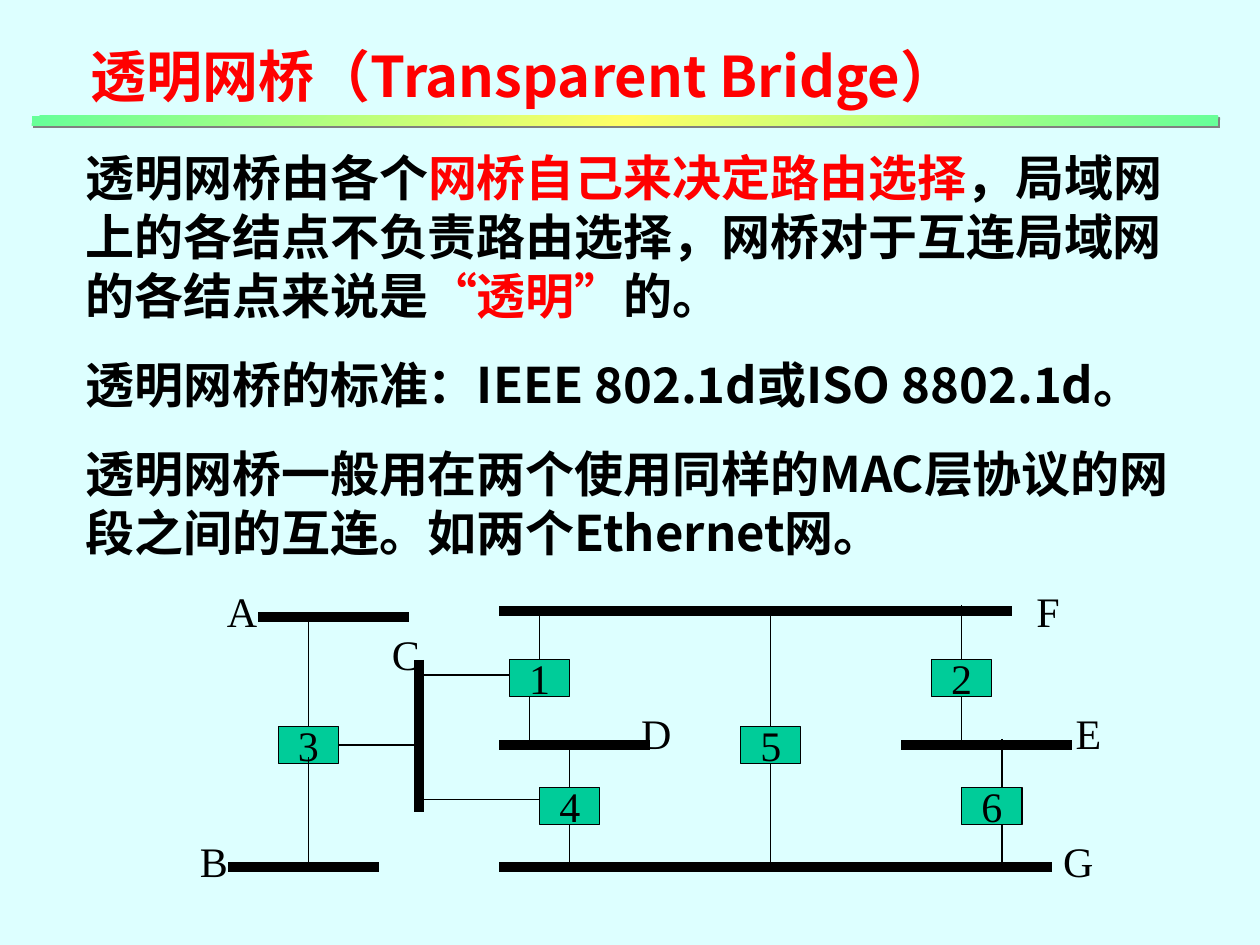
from copy import deepcopy
from dataclasses import dataclass

from lxml.etree import SubElement
from pptx import Presentation
from pptx.dml.color import RGBColor
from pptx.enum.lang import MSO_LANGUAGE_ID
from pptx.enum.shapes import MSO_CONNECTOR, MSO_SHAPE
from pptx.enum.text import MSO_ANCHOR, MSO_AUTO_SIZE, PP_ALIGN
from pptx.oxml.ns import qn
from pptx.util import Inches, Pt


@dataclass(frozen=True)
class Theme:
    background: RGBColor = RGBColor(0xDD, 0xFF, 0xFF)
    ink: RGBColor = RGBColor(0, 0, 0)
    accent: RGBColor = RGBColor(0xFF, 0, 0)
    bridge: RGBColor = RGBColor(0, 0xCC, 0x99)
    rule_edge: RGBColor = RGBColor(0x66, 0xFF, 0x99)
    rule_middle: RGBColor = RGBColor(0xFF, 0xFF, 0x66)
    rule_shadow: str = "808080"
    sans: str = "Noto Sans CJK SC"
    serif: str = "Times New Roman"
    title_size: float = 32
    body_size: float = 28
    label_size: float = 24
    body_gap: float = 17.5
    segment_width: float = 6
    wire_width: float = 0.75


THEME = Theme()
WIDTH, HEIGHT = 10, 7.5

# Body paragraphs as (text, style) runs
BODY = [
    [("透明网桥由各个", "plain"), ("网桥自己来决定路由选择", "accent"),
     ("，局域网上的各结点不负责路由选择，网桥对于互连局域网的各结点来说是", "plain"),
     ("“", "quote"), ("透明", "accent"), ("”", "quote"), ("的。", "plain")],
    [("透明网桥的标准：IEEE 802.1d或ISO 8802.1d。", "plain")],
    [("透明网桥一般用在两个使用同样的MAC层协议的网段之间的互连。如两个Ethernet网。", "plain")],
]

# Network diagram in grid units (column, row)
COLUMNS, ROWS = 84, 42
BRIDGE_COLUMNS, BRIDGE_ROWS = 6, 6
BRIDGES = {"1": (28, 8), "2": (70, 8), "3": (5, 19),
           "4": (31, 29), "5": (51, 19), "6": (73, 29)}
SEGMENTS = [(3, 1, 18, 1), (0, 42, 15, 42), (19, 8, 19, 33), (27, 22, 42, 22),
            (67, 22, 84, 22), (27, 0, 78, 0), (27, 42, 82, 42)]
WIRES = [(8, 1, 8, 19), (8, 24, 8, 42), (11, 22, 19, 22),
         (31, 0, 31, 8), (30, 14, 30, 22), (34, 22, 34, 29), (34, 35, 34, 42),
         (54, 0, 54, 19), (54, 25, 54, 42), (73, 14, 73, 22), (73, -1, 73, 8),
         (77, 21, 77, 29), (77, 35, 77, 42), (19, 31, 31, 31), (19, 10.5, 28, 10.5)]
LABELS = {"A": (1.4, 0), "B": (-1.4, 41), "C": (17.7, 7), "D": (42.6, 20),
          "E": (85.6, 20), "F": (81.6, 0), "G": (84.6, 41)}


def set_font(font, size, color, latin, east_asian, bold):
    font.size, font.bold, font.name = Pt(size), bold, latin
    font.color.rgb = color
    font.language_id = MSO_LANGUAGE_ID.SIMPLIFIED_CHINESE
    properties = font._element
    SubElement(properties, qn("a:ea")).set("typeface", east_asian)


def add_text_box(slide, box, wrap):
    shape = slide.shapes.add_textbox(*(Inches(value) for value in box))
    shape.text_frame.word_wrap = wrap
    shape.text_frame.auto_size = MSO_AUTO_SIZE.NONE
    return shape.text_frame


def add_title(slide, box):
    paragraph = add_text_box(slide, box, False).paragraphs[0]
    run = paragraph.add_run()
    run.text = "透明网桥（Transparent Bridge）"
    set_font(run.font, THEME.title_size, THEME.accent, THEME.sans, THEME.sans, True)


def add_rule(slide, box):
    shape = slide.shapes.add_shape(MSO_SHAPE.RECTANGLE, *(Inches(value) for value in box))
    shape.line.fill.background()
    shape.fill.gradient()
    shape.fill.gradient_angle = 315
    # Third gradient stop in the middle
    stops = shape._element.spPr.find(".//" + qn("a:gsLst"))
    stops.insert(1, deepcopy(stops[0]))
    colors = (THEME.rule_edge, THEME.rule_middle, THEME.rule_edge)
    for stop, position, color in zip(shape.fill.gradient_stops, (0, 0.5, 1), colors):
        stop.position = position
        stop.color.rgb = color
    # Hard offset shadow
    shape.shadow.inherit = False
    effects = shape._element.spPr.find(qn("a:effectLst"))
    shadow = SubElement(effects, qn("a:outerShdw"), blurRad="0",
                        dist=str(Pt(1.4)), dir="2700000", algn="ctr", rotWithShape="0")
    SubElement(shadow, qn("a:srgbClr"), val=THEME.rule_shadow)


def add_body(slide, box):
    styles = {"plain": (THEME.ink, THEME.sans), "accent": (THEME.accent, THEME.sans),
              "quote": (THEME.accent, THEME.serif)}
    frame = add_text_box(slide, box, True)
    for index, runs in enumerate(BODY):
        paragraph = frame.add_paragraph() if index else frame.paragraphs[0]
        if index:
            paragraph.space_before = Pt(THEME.body_gap)
        for text, style in runs:
            color, latin = styles[style]
            run = paragraph.add_run()
            run.text = text
            set_font(run.font, THEME.body_size, color, latin, THEME.sans, True)


def write_label(frame, text):
    frame.word_wrap = False
    frame.vertical_anchor = MSO_ANCHOR.MIDDLE
    paragraph = frame.paragraphs[0]
    paragraph.alignment = PP_ALIGN.CENTER
    run = paragraph.add_run()
    run.text = text
    set_font(run.font, THEME.label_size, THEME.ink, THEME.serif, THEME.serif, False)


def add_network(slide, box):
    left, top, width, height = box
    column, row = width / COLUMNS, height / ROWS

    def place(x, y):
        return Inches(left + x * column), Inches(top + y * row)

    # Numbered bridges
    for number, corner in BRIDGES.items():
        shape = slide.shapes.add_shape(
            MSO_SHAPE.RECTANGLE, *place(*corner),
            Inches(BRIDGE_COLUMNS * column), Inches(BRIDGE_ROWS * row))
        shape.shadow.inherit = False
        shape.fill.solid()
        shape.fill.fore_color.rgb = THEME.bridge
        shape.line.color.rgb = THEME.ink
        shape.line.width = Pt(THEME.wire_width)
        write_label(shape.text_frame, number)

    # Thick network segments, then thin wires
    for lines, weight in ((SEGMENTS, THEME.segment_width), (WIRES, THEME.wire_width)):
        for x1, y1, x2, y2 in lines:
            connector = slide.shapes.add_connector(
                MSO_CONNECTOR.STRAIGHT, *place(x1, y1), *place(x2, y2))
            connector.line.color.rgb = THEME.ink
            connector.line.width = Pt(weight)
            SubElement(connector._element.spPr, qn("a:effectLst"))

    # Segment letters, centred on their grid points
    label_width, label_height = 0.42, 0.5
    for letter, (x, y) in LABELS.items():
        label_box = (left + x * column - label_width / 2,
                     top + y * row - label_height / 2, label_width, label_height)
        write_label(add_text_box(slide, label_box, False), letter)


def main():
    presentation = Presentation()
    presentation.slide_width, presentation.slide_height = Inches(WIDTH), Inches(HEIGHT)
    slide = presentation.slides.add_slide(presentation.slide_layouts[6])
    slide.background.fill.solid()
    slide.background.fill.fore_color.rgb = THEME.background
    add_title(slide, (0.62, 0.28, 7.34, 0.64))
    add_body(slide, (0.58, 1.12, 9.08, 3.39))
    add_rule(slide, (0.25, 0.92, 9.42, 0.08))
    add_network(slide, (1.81, 4.85, 6.7, 2.03))
    presentation.save("out.pptx")


if __name__ == "__main__":
    main()
